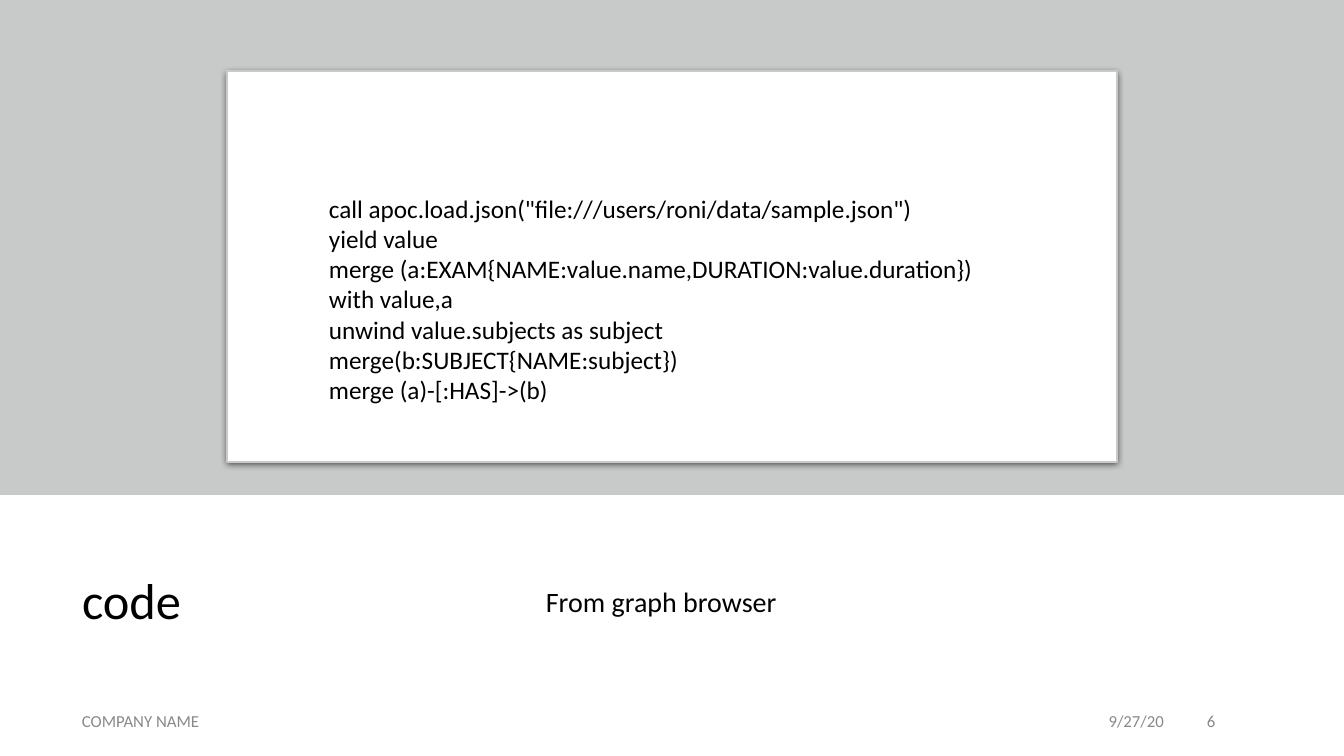
from lxml.etree import SubElement
from pptx import Presentation
from pptx.dml.color import RGBColor
from pptx.enum.shapes import MSO_SHAPE
from pptx.enum.text import MSO_ANCHOR, MSO_AUTO_SIZE, PP_ALIGN
from pptx.oxml.ns import qn
from pptx.util import Pt

BLACK = RGBColor(0x00, 0x00, 0x00)
WHITE = RGBColor(0xFF, 0xFF, 0xFF)
BAND_GREY = RGBColor(0xC8, 0xCA, 0xCA)
FOOTER_GREY = RGBColor(0x89, 0x89, 0x89)

SLIDE_SIZE = (1344, 756)
EMU_PER_PX = 12192000 / 1344
BAND = (0, 0, 1344, 495)
CARD = (227, 71, 890, 391)
HEADING = ((72, 515, 406, 177), ["code"])
CAPTION = ((536, 515, 736, 177), ["From graph browser"])
QUERY = ((319, 188, 672, 224), [
    'call apoc.load.json("file:///users/roni/data/sample.json")',
    "yield value",
    "merge (a:EXAM{NAME:value.name,DURATION:value.duration})",
    "with value,a",
    "unwind value.subjects as subject",
    "merge(b:SUBJECT{NAME:subject})",
    "merge (a)-[:HAS]->(b)",
])
FOOTER_TOP, FOOTER_HEIGHT = 701, 40
FOOTER = [
    (72, 726, "COMPANY NAME", PP_ALIGN.LEFT),
    (881, 293, "9/27/20", PP_ALIGN.RIGHT),
    (1197, 76, "6", PP_ALIGN.LEFT),
]

HEADING_FONT = {"size": Pt(36)}
CAPTION_FONT = {"size": Pt(20)}
QUERY_FONT = {"size": Pt(18)}
FOOTER_FONT = {"size": Pt(12)}
MIDDLE = {"vertical_anchor": MSO_ANCHOR.MIDDLE}
GROWING = {"auto_size": MSO_AUTO_SIZE.SHAPE_TO_FIT_TEXT}


def emu(px):
    """Turn px into EMU."""
    return round(px * EMU_PER_PX)


def apply(target, values):
    """Set each attribute named in values."""
    for key, value in values.items():
        setattr(target, key, value)


def place(part, box):
    """Move and size a part to a px box."""
    apply(part, dict(zip(("left", "top", "width", "height"), map(emu, box))))


def write(part, lines, font, paragraph_format, frame_format, colour=BLACK):
    """Fill a part with formatted lines of text."""
    frame = part.text_frame
    apply(frame, {"word_wrap": True, "auto_size": MSO_AUTO_SIZE.NONE, **frame_format})
    frame.text = "\n".join(lines)
    for paragraph in frame.paragraphs:
        apply(paragraph, {"alignment": PP_ALIGN.LEFT, **paragraph_format})
        for run in paragraph.runs:
            apply(run.font, {"name": "Calibri", **font})
            run.font.color.rgb = colour


def add_text(slide, box, *content):
    """Add a text box at a px box."""
    write(slide.shapes.add_textbox(*map(emu, box)), *content)


def add_panel(slide, kind, box, fill):
    """Add a plain filled panel without a line."""
    panel = slide.shapes.add_shape(kind, *map(emu, box))
    panel.shadow.inherit = False
    panel.fill.solid()
    panel.fill.fore_color.rgb = fill
    panel.line.fill.background()
    return panel


def add_card(slide):
    """Add the outlined white card with its soft shadow."""
    card = add_panel(slide, MSO_SHAPE.ROUNDED_RECTANGLE, CARD, WHITE)
    card.adjustments[0] = 0
    card.line.color.rgb = BAND_GREY
    card.line.width = Pt(0.75)
    effects = card._element.spPr.find(qn("a:effectLst"))
    shadow = SubElement(effects, qn("a:outerShdw"), blurRad=str(Pt(4.5)),
                        dist=str(Pt(1.5)), dir="5400000", rotWithShape="0")
    colour = SubElement(shadow, qn("a:srgbClr"), val=str(BLACK))
    SubElement(colour, qn("a:alpha"), val="63000")


def main():
    """Build and save the slide."""
    deck = Presentation()
    deck.slide_width, deck.slide_height = map(emu, SLIDE_SIZE)
    slide = deck.slides.add_slide(deck.slide_layouts.get_by_name("Title Only"))

    heading_box, heading_lines = HEADING
    heading = slide.shapes.title
    place(heading, heading_box)
    write(heading, heading_lines, HEADING_FONT, {"line_spacing": 0.9}, MIDDLE)

    add_panel(slide, MSO_SHAPE.RECTANGLE, BAND, BAND_GREY)
    add_card(slide)
    add_text(slide, *CAPTION, CAPTION_FONT,
             {"line_spacing": 0.9, "space_before": Pt(10)}, MIDDLE)
    for left, width, label, alignment in FOOTER:
        add_text(slide, (left, FOOTER_TOP, width, FOOTER_HEIGHT), [label], FOOTER_FONT,
                 {"alignment": alignment, "space_after": Pt(6)}, MIDDLE, FOOTER_GREY)
    add_text(slide, *QUERY, QUERY_FONT, {}, GROWING)

    deck.save("out.pptx")


if __name__ == "__main__":
    main()
